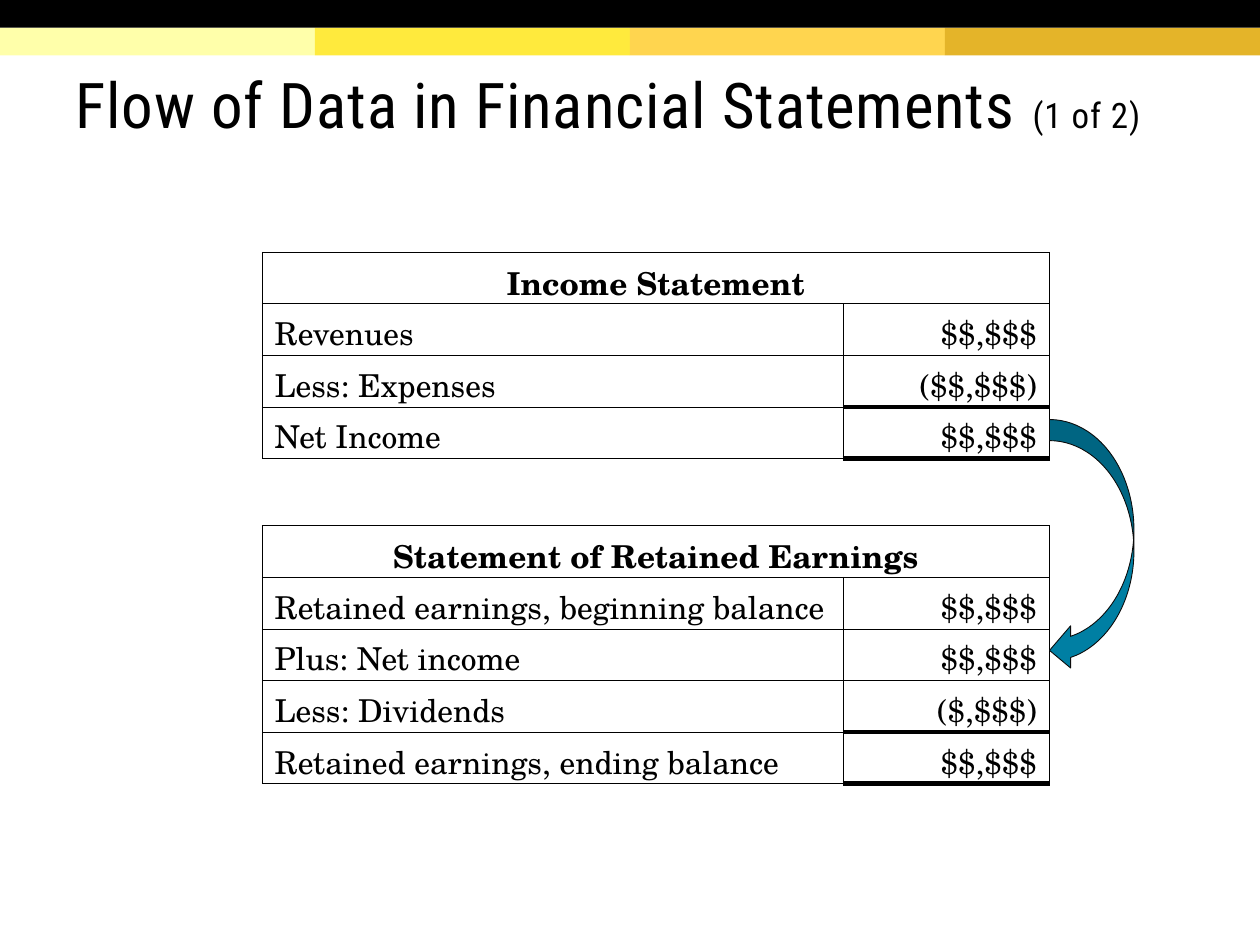
from lxml import etree
from pptx import Presentation
from pptx.dml.color import RGBColor
from pptx.enum import shapes, text
from pptx.oxml import ns
from pptx.util import Inches, Pt

BLACK = RGBColor(0, 0, 0)
WHITE = RGBColor(255, 255, 255)
OUTLINE = RGBColor(0x0C, 0x0C, 0x0C)
TEAL = RGBColor(0x00, 0x7F, 0xA3)
BAND_COLORS = [
    RGBColor(0xFF, 0xFF, 0xAA),
    RGBColor(0xFF, 0xEA, 0x3D),
    RGBColor(0xFF, 0xD5, 0x4F),
    RGBColor(0xE4, 0xB4, 0x29),
]
TITLE_FONT = "Roboto Condensed"
TABLE_FONT = "TeX Gyre Schola"
THIN, SUBTOTAL, TOTAL = 0.25, 2.25, 3
COLUMNS = [4.61, 1.64]
ROW_HEIGHT = 0.41

INCOME = [
    ("Revenues", "$$,$$$"),
    ("Less: Expenses", "($$,$$$)"),
    ("Net Income", "$$,$$$"),
]
RETAINED = [
    ("Retained earnings, beginning balance", "$$,$$$"),
    ("Plus: Net income", "$$,$$$"),
    ("Less: Dividends", "($,$$$)"),
    ("Retained earnings, ending balance", "$$,$$$"),
]


def add_run(p, words, color=BLACK, **formats):
    r = p.add_run()
    r.text = words
    r.font.color.rgb = color
    for name, value in formats.items():
        setattr(r.font, name, value)
    return r


def add_block(s, kind, left, top, width, height, fill, line=None):
    sp = s.shapes.add_shape(
        kind, Inches(left), Inches(top), Inches(width), Inches(height))
    sp.shadow.inherit = False
    sp.fill.solid()
    sp.fill.fore_color.rgb = fill
    if line is None:
        sp.line.fill.background()
    else:
        sp.line.color.rgb = line
        sp.line.width = Pt(0.5)
    return sp


def add_header_bands(s):
    rect = shapes.MSO_SHAPE.RECTANGLE
    for i, color in enumerate(BAND_COLORS):
        add_block(s, rect, 2.5 * i, 0.22, 2.5, 0.22, color)
    add_block(s, rect, 0, 0, 10, 0.22, BLACK)


def add_title(s, words, part):
    box = s.shapes.add_textbox(Inches(0.5), Inches(0.24), Inches(9.25), Inches(1.2))
    tf = box.text_frame
    formats = {
        "word_wrap": True,
        "vertical_anchor": text.MSO_ANCHOR.MIDDLE,
        "margin_top": Inches(0.1),
        "margin_bottom": Inches(0.05),
    }
    for name, value in formats.items():
        setattr(tf, name, value)
    p = tf.paragraphs[0]
    p.line_spacing = 0.85
    for piece, size in ((words, 36), (part, 20)):
        r = add_run(p, piece, name=TITLE_FONT, size=Pt(size))
        r.font._element.set("spc", "50")


def set_borders(cell, top=THIN, bottom=THIN):
    tc_pr = cell._tc.get_or_add_tcPr()
    widths = {"lnL": THIN, "lnR": THIN, "lnT": top, "lnB": bottom}
    for i, (tag, width) in enumerate(widths.items()):
        ln = etree.Element(ns.qn("a:" + tag), w=str(Pt(width)))
        fill = etree.SubElement(ln, ns.qn("a:solidFill"))
        etree.SubElement(fill, ns.qn("a:srgbClr"), val=str(BLACK))
        tc_pr.insert(i, ln)


def fill_cell(cell, words, align, bold=False):
    p = cell.text_frame.paragraphs[0]
    p.alignment = align
    add_run(p, words, name=TABLE_FONT, size=Pt(18), bold=bold)


def add_statement(s, top, heading, entries):
    count = len(entries) + 1
    table = s.shapes.add_table(
        count, 2, Inches(2.08), Inches(top),
        Inches(sum(COLUMNS)), Inches(ROW_HEIGHT * count)).table
    table.first_row = table.horz_banding = False
    for column, width in zip(table.columns, COLUMNS):
        column.width = Inches(width)
    for row in table.rows:
        row.height = Inches(ROW_HEIGHT)

    for cell in table.iter_cells():
        cell.fill.solid()
        cell.fill.fore_color.rgb = WHITE
        cell.margin_left = cell.margin_right = Inches(0.1)
        cell.margin_top = cell.margin_bottom = Inches(0.05)

    amount_borders = {
        count - 2: {"bottom": SUBTOTAL},
        count - 1: {"top": SUBTOTAL, "bottom": TOTAL},
    }
    for i in range(count):
        set_borders(table.cell(i, 0))
        set_borders(table.cell(i, 1), **amount_borders.get(i, {}))

    table.cell(0, 0).merge(table.cell(0, 1))
    fill_cell(table.cell(0, 0), heading, text.PP_ALIGN.CENTER, bold=True)
    for i, (label, amount) in enumerate(entries, 1):
        fill_cell(table.cell(i, 0), label, text.PP_ALIGN.LEFT)
        fill_cell(table.cell(i, 1), amount, text.PP_ALIGN.RIGHT)


def main():
    prs = Presentation()
    prs.slide_width, prs.slide_height = Inches(10), Inches(7.5)
    s = prs.slides.add_slide(prs.slide_layouts[6])
    add_header_bands(s)
    add_title(s, "Flow of Data in Financial Statements ", "(1 of 2)")
    add_statement(s, 2, "Income Statement", INCOME)
    add_statement(s, 4.17, "Statement of Retained Earnings", RETAINED)
    add_block(s, shapes.MSO_SHAPE.CURVED_LEFT_ARROW, 8.33, 3.33, 0.67, 2, TEAL, OUTLINE)
    prs.save("out.pptx")


if __name__ == "__main__":
    main()
